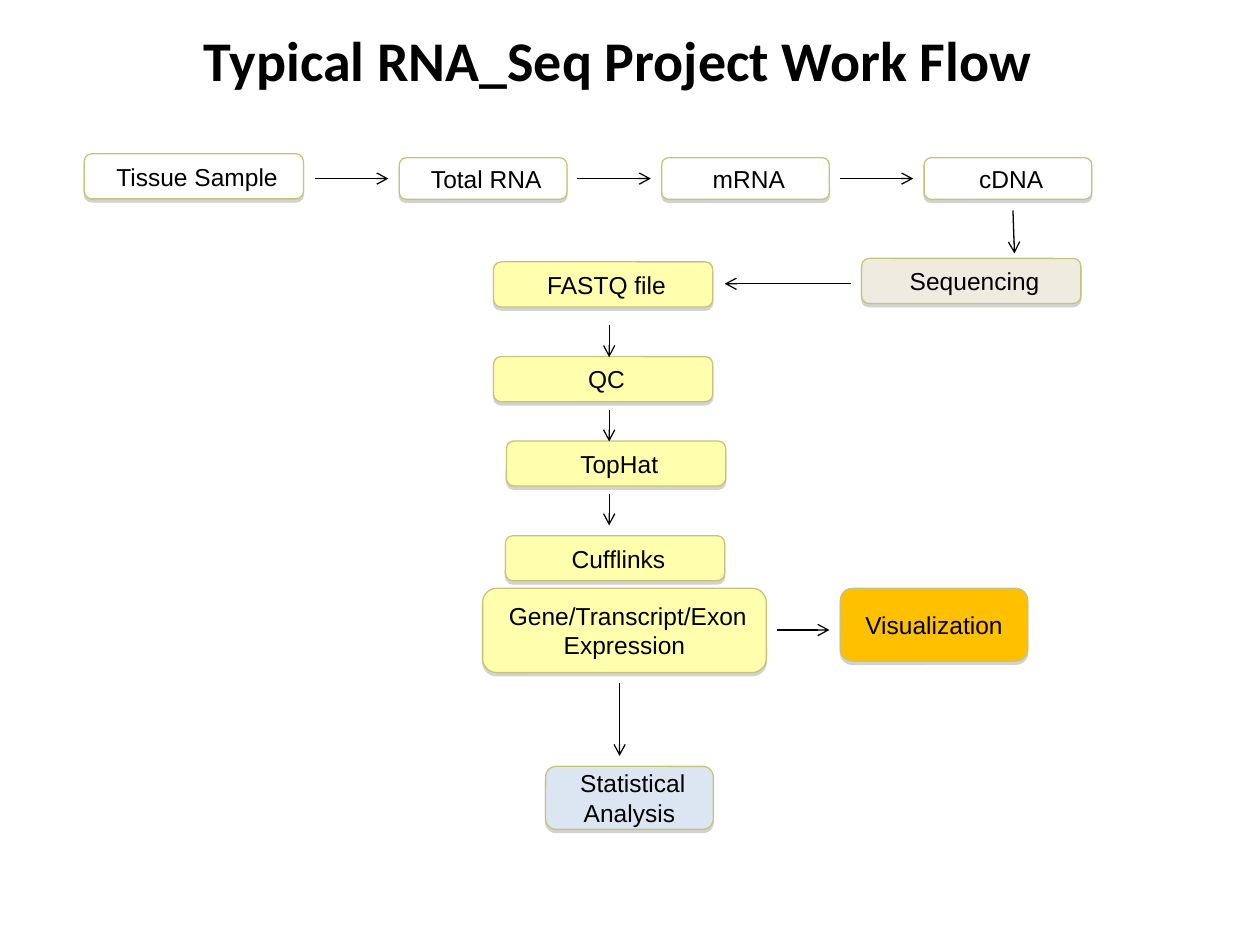
from dataclasses import dataclass

from lxml.etree import SubElement
from pptx import Presentation
from pptx.dml.color import RGBColor
from pptx.enum.shapes import MSO_CONNECTOR as Connector
from pptx.enum.shapes import MSO_SHAPE as Shape
from pptx.enum.text import MSO_ANCHOR as Anchor
from pptx.enum.text import PP_ALIGN as Align
from pptx.oxml.ns import qn
from pptx.util import Cm, Pt

WHITE, YELLOW = "FFFFFF", "FFFFAD"
BLACK, OLIVE, GREY = "000000", "C5C57A", "808080"
SMALL_WIDTH, SMALL_HEIGHT = 3.38, 0.84
RNA_LEFT, RNA_TOP, RNA_PITCH = 8.05, 3.18, 5.29


@dataclass(frozen=True)
class Step:
    text: str
    left: float
    top: float
    width: float = 4.42
    height: float = 0.91
    fill: str = YELLOW


@dataclass(frozen=True)
class Arrow:
    x: float
    y: float
    dx: float = 0
    dy: float = 0


def color(value: str) -> RGBColor:
    return RGBColor.from_string(value)


def write(shape, text: str, *, font="Arial", size=14, bold=False, anchor=Anchor.MIDDLE) -> None:
    frame = shape.text_frame
    frame.word_wrap = True
    frame.vertical_anchor = anchor
    paragraph = frame.paragraphs[0]
    paragraph.alignment = Align.CENTER
    run = paragraph.add_run()
    run.text = text
    run.font.name = font
    run.font.size = Pt(size)
    run.font.bold = bold
    run.font.color.rgb = color(BLACK)


def add_shadow(shape) -> None:
    shape.shadow.inherit = False
    effects = shape._element.spPr.find(qn("a:effectLst"))
    shadow = SubElement(
        effects, qn("a:outerShdw"), blurRad="0", dist=str(Pt(1.8)), dir="5400000", rotWithShape="0"
    )
    tint = SubElement(shadow, qn("a:srgbClr"), val=GREY)
    SubElement(tint, qn("a:alpha"), val="35000")


def draw_step(slide, step: Step) -> None:
    shape = slide.shapes.add_shape(
        Shape.ROUNDED_RECTANGLE, Cm(step.left), Cm(step.top), Cm(step.width), Cm(step.height)
    )
    shape.fill.solid()
    shape.fill.fore_color.rgb = color(step.fill)
    shape.line.color.rgb = color(OLIVE)
    shape.line.width = Pt(0.75)
    add_shadow(shape)
    write(shape, step.text)


def draw_arrow(slide, arrow: Arrow) -> None:
    connector = slide.shapes.add_connector(
        Connector.STRAIGHT,
        Cm(arrow.x), Cm(arrow.y), Cm(arrow.x + arrow.dx), Cm(arrow.y + arrow.dy),
    )
    connector.line.color.rgb = color(BLACK)
    connector.line.width = Pt(0.75)
    SubElement(connector.line._get_or_add_ln(), qn("a:tailEnd"), type="arrow")
    SubElement(connector._element.spPr, qn("a:effectLst"))


STEPS = [
    Step(" Tissue Sample", 1.7, 3.1, fill=WHITE),
    *(
        Step(text, RNA_LEFT + i * RNA_PITCH, RNA_TOP, SMALL_WIDTH, SMALL_HEIGHT, WHITE)
        for i, text in enumerate([" Total RNA", " mRNA", " cDNA"])
    ),
    Step(" Sequencing", 17.37, 5.21, fill="EEECE1"),
    Step(" FASTQ file", 9.95, 5.28),
    Step(" QC", 9.95, 7.19),
    Step(" TopHat", 10.21, 8.89),
    Step(" Cufflinks", 10.19, 10.8),
    Step(" Gene/Transcript/Exon Expression", 9.73, 11.86, 5.72, 1.7),
    Step("Visualization", 16.94, 11.86, 3.78, 1.47, "FFC000"),
    Step(" Statistical Analysis", 11, 15.45, SMALL_WIDTH, 1.27, "DCE6F2"),
]

ARROWS = [
    *(Arrow(6.35 + i * RNA_PITCH, 3.6, dx=1.48) for i in range(3)),
    Arrow(20.42, 4.24, dx=0.03, dy=0.87),
    Arrow(17.15, 5.72, dx=-2.54),
    *(Arrow(12.28, y, dy=0.64) for y in (6.56, 8.26, 9.95)),
    Arrow(15.66, 12.7, dx=1.06),
    Arrow(12.49, 13.76, dy=1.48),
]


def main() -> None:
    presentation = Presentation()
    presentation.slide_width, presentation.slide_height = Cm(25.4), Cm(19.05)
    slide = presentation.slides.add_slide(presentation.slide_layouts[6])
    title = slide.shapes.add_textbox(Cm(0.84), Cm(0.38), Cm(23.24), Cm(2.16))
    write(
        title, "Typical RNA_Seq Project Work Flow",
        font="Calibri", size=32, bold=True, anchor=Anchor.TOP,
    )
    for step in STEPS:
        draw_step(slide, step)
    for arrow in ARROWS:
        draw_arrow(slide, arrow)
    presentation.save("out.pptx")


if __name__ == "__main__":
    main()
